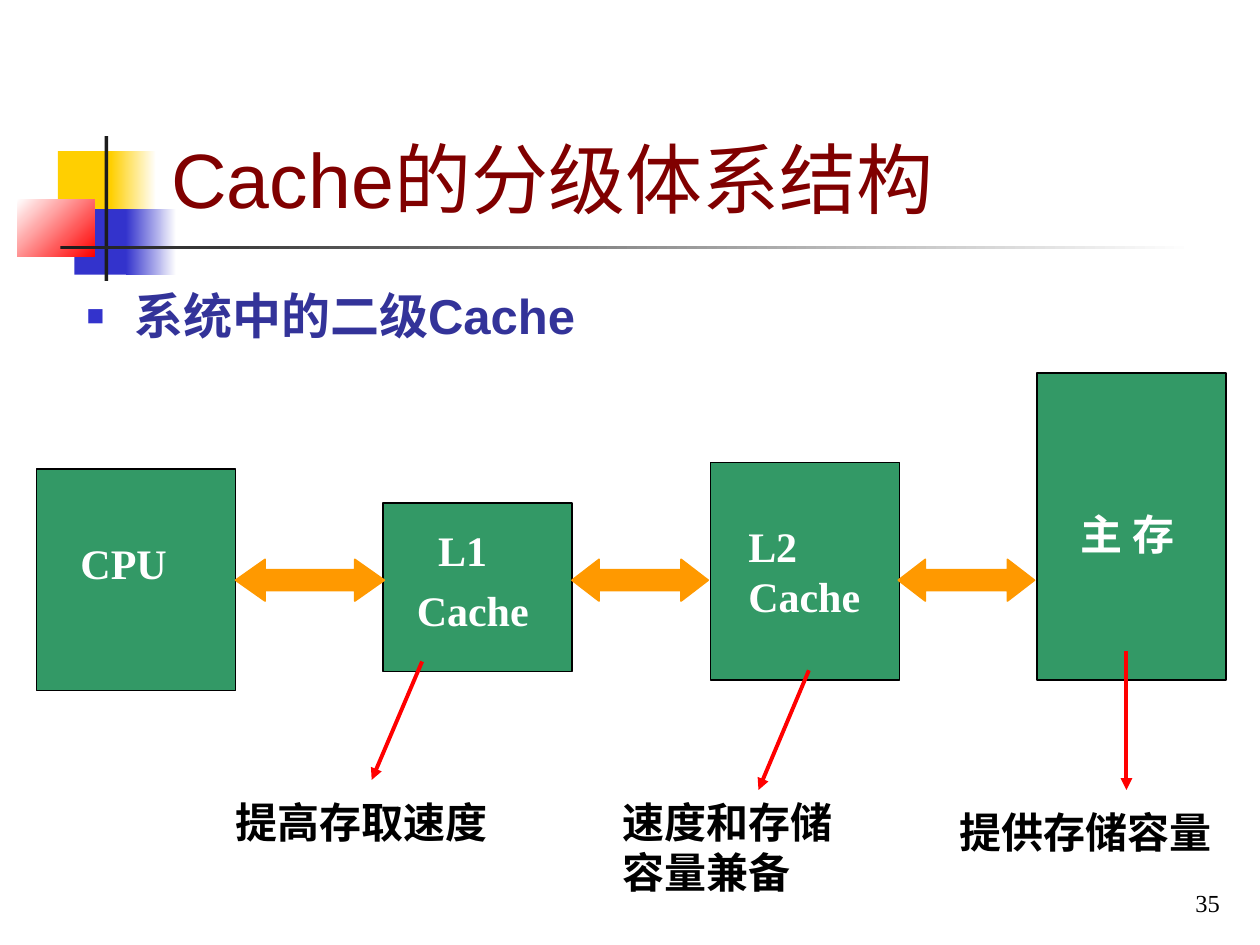
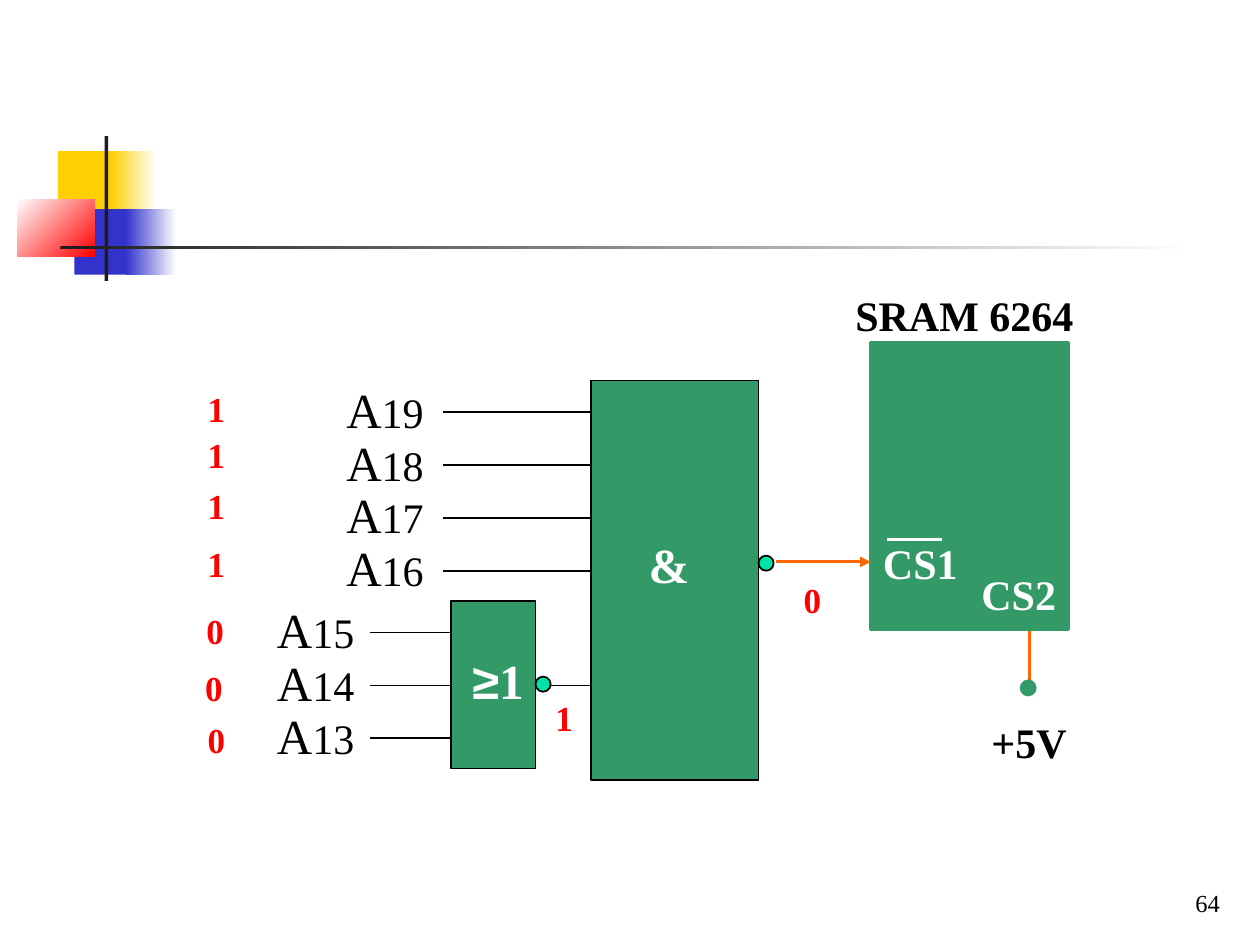
from lxml.etree import SubElement
from pptx import Presentation
from pptx.dml.color import RGBColor
from pptx.enum.shapes import MSO_CONNECTOR, MSO_SHAPE
from pptx.enum.text import MSO_ANCHOR, PP_ALIGN
from pptx.oxml.ns import qn
from pptx.util import Inches, Pt

BLACK = RGBColor(0x00, 0x00, 0x00)
WHITE = RGBColor(0xFF, 0xFF, 0xFF)
INK = RGBColor(0x1C, 0x1C, 0x1C)
YELLOW = RGBColor(0xFF, 0xCF, 0x01)
BLUE = RGBColor(0x33, 0x33, 0xCC)
NAVY = RGBColor(0x33, 0x33, 0x99)
RED = RGBColor(0xFF, 0x00, 0x00)
MAROON = RGBColor(0x80, 0x00, 0x00)
GREEN = RGBColor(0x33, 0x99, 0x66)
MINT = RGBColor(0x00, 0xE4, 0xA8)
AMBER = RGBColor(0xFF, 0x99, 0x00)
ORANGE = RGBColor(0xFF, 0x66, 0x00)
SERIF, SANS = "Times New Roman", "Arial"

# Shared band: box, colours (two make a gradient), angle
BAND = [
    ((0.46, 1.2, 0.48, 0.52), [YELLOW], 0),
    ((0.88, 1.2, 0.36, 0.52), [YELLOW, WHITE], 0),
    ((0.59, 1.66, 0.46, 0.52), [BLUE], 0),
    ((1, 1.66, 0.4, 0.52), [BLUE, WHITE], 0),
    ((0.14, 1.58, 0.61, 0.46), [WHITE, RED], 45),
    ((0.83, 1.08, 0.03, 1.15), [INK], 0),
    ((0.48, 1.95, 9, 0.03), [INK, WHITE], 0),
]

# Cache levels
TITLE = "Cache的分级体系结构"
POINT = "系统中的二级Cache"
UNITS = [(0.29, 3.72, 1.58, 1.76), (3.04, 3.99, 1.5, 1.34),
         (5.64, 3.67, 1.5, 1.73), (8.23, 2.96, 1.5, 2.44)]
NAMES = [("CPU", (0.54, 4.22, 1.09, 0.5)),
         ("L2\nCache", (5.84, 4.08, 1.18, 0.9)),
         ("主 存", (8.48, 3.99, 1.17, 0.5))]
L1_NAME = ("L1\nCache", (3.21, 4.11, 1.26, 0.99))
BUSES = [(1.87, 1.18), (4.54, 1.08), (7.13, 1.08)]  # left, width
ROLES = [("提高存取速度", (1.77, 6.27, 2.52, 0.5)),
         ("速度和存储容量兼备", (4.84, 6.27, 2.05, 0.9)),
         ("提供存储容量", (7.52, 6.35, 2.28, 0.5))]
POINTERS = [(3.35, 5.25, 2.95, 6.19), (6.42, 5.32, 6.02, 6.27),
            (8.94, 5.17, 8.94, 6.27)]

# Address decoder: pins, label left, wire left, wire right, first wire
PINS = [(["19", "18", "17", "16"], 2.65, 3.52, 4.69, 3.27),
        (["15", "14", "13"], 2.1, 2.94, 3.58, 5.02)]
PITCH = 0.42
BITS = [("1", 1.55, 3.03), ("1", 1.55, 3.39), ("1", 1.55, 3.8),
        ("1", 1.55, 4.26), ("0", 1.54, 4.79), ("0", 1.53, 5.24),
        ("0", 1.55, 5.65), ("1", 4.31, 5.48), ("0", 6.28, 4.54)]
GATES = [((6.91, 2.72, 1.57, 2.28), GREEN, 1.75),
         ((4.69, 3.02, 1.33, 3.17), BLACK, 1),
         ((3.58, 4.77, 0.67, 1.33), BLACK, 1)]
DOTS = [(4.25, 5.37, MINT, BLACK), (6.02, 4.41, MINT, BLACK),
        (8.1, 5.4, GREEN, GREEN)]
CHIP = [("CS1", (6.91, 4.22, 0.94, 0.5), WHITE),
        ("CS2", (7.69, 4.46, 0.94, 0.5), WHITE),
        ("+5V", (7.77, 5.64, 1.02, 0.5), BLACK)]


def place(box):
    return [Inches(n) for n in box]


def style(run, size, color, bold, face):
    font = run.font
    font.size, font.bold, font.name = Pt(size), bold, face
    font.color.rgb = color


def write(slide, text, box, size=24, color=BLACK, bold=True, face=SERIF):
    frame = slide.shapes.add_textbox(*place(box)).text_frame
    frame.word_wrap = True
    frame.text = text
    for para in frame.paragraphs:
        for run in para.runs:
            style(run, size, color, bold, face)
    return frame


def draw(slide, kind, box, fill, edge=None, width=1):
    shape = slide.shapes.add_shape(kind, *place(box))
    shape.shadow.inherit = False
    shape.fill.solid()
    shape.fill.fore_color.rgb = fill
    if edge is None:
        shape.line.fill.background()
    else:
        shape.line.color.rgb = edge
        shape.line.width = Pt(width)
    return shape


def wire(slide, ends, color=BLACK, width=1, arrow=False):
    line = slide.shapes.add_connector(MSO_CONNECTOR.STRAIGHT, *place(ends))
    line.line.color.rgb = color
    line.line.width = Pt(width)
    props = line.element.spPr
    if arrow:
        SubElement(props.find(qn("a:ln")), qn("a:tailEnd"), type="triangle")
    SubElement(props, qn("a:effectLst"))


def bullet(para, color):
    props = para._p.get_or_add_pPr()
    props.set("marL", str(Inches(0.38)))
    props.set("indent", str(-Inches(0.38)))
    tint = SubElement(props, qn("a:buClr"))
    SubElement(tint, qn("a:srgbClr"), val=str(color))
    SubElement(props, qn("a:buSzPct"), val="60000")
    SubElement(props, qn("a:buFont"), typeface=SANS)
    SubElement(props, qn("a:buChar"), char="■")


def start(deck, layout, number):
    """Add a slide with the shared band and page number."""
    slide = deck.slides.add_slide(deck.slide_layouts[layout])
    for box, colors, angle in BAND:
        shape = draw(slide, MSO_SHAPE.RECTANGLE, box, colors[0])
        if len(colors) > 1:
            shape.fill.gradient()
            shape.fill.gradient_angle = -angle % 360
            for stop, color in zip(shape.fill.gradient_stops, colors):
                stop.color.rgb = color
    page = write(slide, number, (7.7, 6.83, 2.08, 0.5), 14, bold=False)
    page.vertical_anchor = MSO_ANCHOR.BOTTOM
    page.paragraphs[0].alignment = PP_ALIGN.RIGHT
    return slide


def levels(deck):
    slide = start(deck, 5, "35")
    # Title and point
    title = slide.shapes.title
    title.left, title.top, title.width, title.height = place(
        (1.26, 0.23, 8.52, 1.6))
    frame = title.text_frame
    frame.text = TITLE
    frame.vertical_anchor = MSO_ANCHOR.BOTTOM
    para = frame.paragraphs[0]
    para.alignment = PP_ALIGN.LEFT
    style(para.runs[0], 44, MAROON, False, SANS)
    frame = write(slide, POINT, (0.59, 2.17, 8.5, 0.84), 28, NAVY, face=SANS)
    para = frame.paragraphs[0]
    bullet(para, BLUE)
    para.line_spacing = 1.1

    # Units and the buses between them
    for box in UNITS:
        draw(slide, MSO_SHAPE.RECTANGLE, box, GREEN, BLACK)
    for left, width in BUSES:
        bus = draw(slide, MSO_SHAPE.LEFT_RIGHT_ARROW,
                   (left, 4.44, width, 0.33), AMBER, AMBER)
        bus.adjustments[1] = 0.65 if width < 1.1 else 0.71
    for text, box in NAMES:
        write(slide, text, box, color=WHITE)
    first, second = write(slide, *L1_NAME, color=WHITE).paragraphs
    first._p.get_or_add_pPr().set("indent", str(Inches(0.17)))
    second.space_before = Pt(6)

    # What each level is for
    for ends in POINTERS:
        wire(slide, ends, RED, 2.25, True)
    for text, box in ROLES:
        write(slide, text, box)


def decoder(deck):
    slide = start(deck, 6, "64")
    # Chip and gates
    for box, edge, width in GATES:
        draw(slide, MSO_SHAPE.RECTANGLE, box, GREEN, edge, width)
    write(slide, "&", (5.05, 4.19, 0.75, 0.57), 28, WHITE)
    frame = write(slide, "≥", (3.65, 5.11, 0.75, 0.57), 28, WHITE, face=SANS)
    run = frame.paragraphs[0].add_run()
    run.text = "1"
    style(run, 28, WHITE, True, SERIF)

    # Address pins
    for pins, left, begin, end, top in PINS:
        for row, pin in enumerate(pins):
            y = top + row * PITCH
            wire(slide, (begin, y, end, y))
            frame = write(slide, "A", (left, y - 0.31, 1, 0.57), 28,
                          bold=False)
            run = frame.paragraphs[0].add_run()
            run.text = pin
            style(run, 24, BLACK, False, SERIF)

    # Outputs and supply
    wire(slide, (4.35, 5.44, 4.69, 5.44))
    wire(slide, (6.16, 4.46, 6.91, 4.46), ORANGE, 1.75, True)
    wire(slide, (8.17, 5.01, 8.17, 5.48), ORANGE, 1.75)
    for x, y, fill, edge in DOTS:
        draw(slide, MSO_SHAPE.OVAL, (x, y, 0.12, 0.12), fill, edge)

    # Chip labels and signal bits
    for text, box, color in CHIP:
        write(slide, text, box, color=color)
    write(slide, "SRAM 6264", (6.69, 2.25, 1.93, 0.5)).word_wrap = False
    wire(slide, (7.04, 4.28, 7.48, 4.28), WHITE, 1.75)
    for bit, x, y in BITS:
        write(slide, bit, (x, y, 0.39, 0.44), 20, RED)


def main():
    deck = Presentation()
    deck.slide_width, deck.slide_height = Inches(10), Inches(7.5)
    levels(deck)
    decoder(deck)
    deck.save("out.pptx")


if __name__ == "__main__":
    main()
